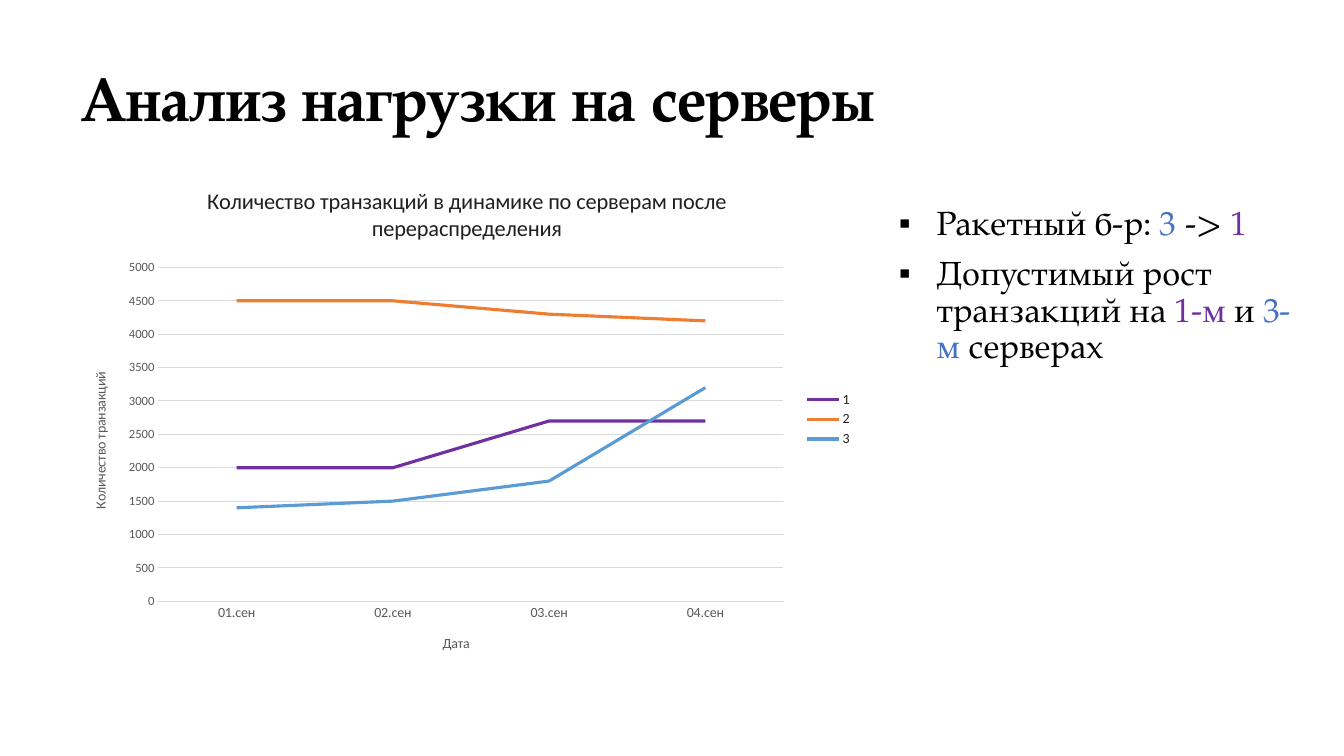
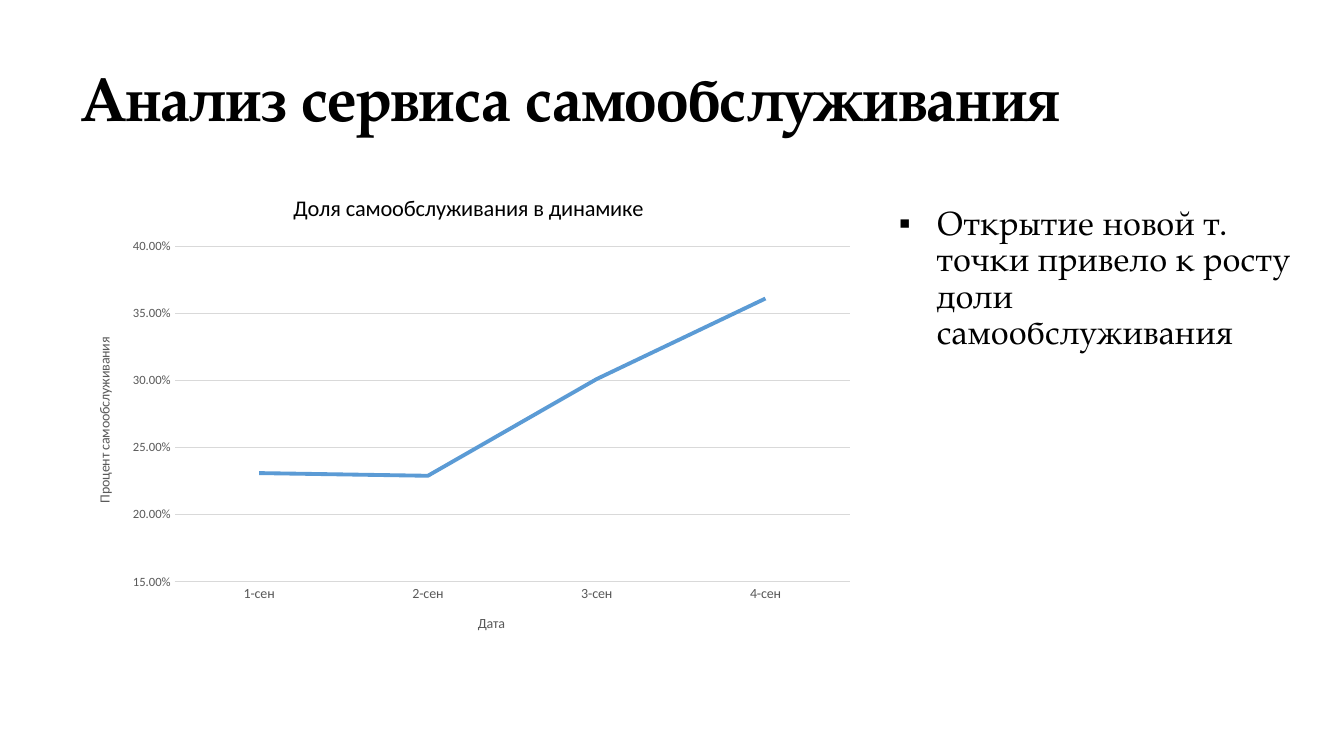
from lxml.etree import SubElement
from pptx import Presentation
from pptx.chart.data import CategoryChartData
from pptx.dml.color import RGBColor
from pptx.enum.chart import XL_CHART_TYPE as ChartType
from pptx.enum.chart import XL_LEGEND_POSITION as LegendPosition
from pptx.enum.chart import XL_TICK_MARK as TickMark
from pptx.enum.text import MSO_ANCHOR as Anchor
from pptx.enum.text import MSO_AUTO_SIZE as AutoSize
from pptx.enum.text import PP_ALIGN as Align
from pptx.oxml.ns import qn
from pptx.util import Cm, Pt

BLACK = RGBColor(0x00, 0x00, 0x00)
CHARCOAL = RGBColor(0x20, 0x20, 0x20)
GRAY = RGBColor(0x59, 0x59, 0x59)
SILVER = RGBColor(0xD9, 0xD9, 0xD9)
PURPLE = RGBColor(0x70, 0x30, 0xA0)
ORANGE = RGBColor(0xED, 0x7D, 0x31)
SKY = RGBColor(0x5B, 0x9B, 0xD5)
BLUE = RGBColor(0x44, 0x72, 0xC4)


class ReportDeck:
    text_font = "TeX Gyre Pagella"
    chart_font = "Calibri"
    left = 1.8

    def __init__(self):
        self.deck = Presentation()
        self.deck.slide_width = Cm(33.87)
        self.deck.slide_height = Cm(19.05)
        self.page = None

    def add_page(self, title):
        self.page = self.deck.slides.add_slide(self.deck.slide_layouts[1])
        box = self.page.shapes.title
        frame = self.place(box, self.left, 0.71, 29.21, 3.68, Anchor.MIDDLE)
        self.fill_para(frame.paragraphs[0], [(title, BLACK)], 44, True)

    def place(self, box, left, top, width, height, anchor):
        box.left, box.top = Cm(left), Cm(top)
        box.width, box.height = Cm(width), Cm(height)
        frame = box.text_frame
        frame.word_wrap = True
        frame.auto_size = AutoSize.NONE
        frame.vertical_anchor = anchor
        return frame

    def style_font(self, font, name, size, color, bold=False):
        font.name, font.size, font.bold = name, Pt(size), bold
        font.color.rgb = color

    def fill_para(self, para, spans, size, bold=False):
        para.alignment = Align.LEFT
        para.line_spacing = 0.9
        for text, color in spans:
            span = para.add_run()
            span.text = text
            self.style_font(span.font, self.text_font, size, color, bold)

    def add_bullets(self, items):
        box = self.page.placeholders[1]
        frame = self.place(box, 22.4, 5.08, 10.44, 12.09, Anchor.TOP)
        for index, spans in enumerate(items):
            para = frame.add_paragraph() if index else frame.paragraphs[0]
            para.space_before = Pt(10 if index else 0)
            properties = para._p.get_or_add_pPr()
            properties.set("marL", str(Cm(0.95)))
            properties.set("indent", str(-Cm(0.95)))
            self.fill_para(para, spans, 24)
            SubElement(properties, qn("a:buChar")).set("char", "▪")

    def add_line_chart(self, title, title_color, area, plot, categories, series,
                       line_width, value_title, scale, number_format):
        data = CategoryChartData(number_format=number_format)
        data.categories = categories
        for name, values, _ in series:
            data.add_series(name, values)
        chart = self.page.shapes.add_chart(
            ChartType.LINE, *(Cm(length) for length in area), data).chart
        self.style_font(chart.font, self.chart_font, 10, BLACK)
        chart.has_title = True
        self.set_title(chart.chart_title, title, 16, title_color)
        chart.chart_title.include_in_layout = False
        chart.plots[0].vary_by_categories = False
        for line, (_, _, color) in zip(chart.plots[0].series, series):
            line.smooth = False
            line.format.line.width = Pt(line_width)
            line.format.line.color.rgb = color
        self.style_axis(chart.category_axis, "Дата", 10)
        chart.category_axis.format.line.color.rgb = SILVER
        chart.category_axis.format.line.width = Pt(0.75)
        self.style_value_axis(chart.value_axis, value_title, scale, number_format)
        chart.has_legend = len(series) > 1
        if chart.has_legend:
            chart.legend.position = LegendPosition.RIGHT
            chart.legend.include_in_layout = False
            self.style_font(chart.legend.font, self.chart_font, 10, CHARCOAL)
        self.set_plot_area(chart, plot)

    def set_title(self, title, text, size, color):
        span = title.text_frame.paragraphs[0].add_run()
        span.text = text
        self.style_font(span.font, self.chart_font, size, color)

    def style_axis(self, axis, title, size):
        axis.has_title = True
        self.set_title(axis.axis_title, title, 10, GRAY)
        axis.major_tick_mark = axis.minor_tick_mark = TickMark.NONE
        self.style_font(axis.tick_labels.font, self.chart_font, size, GRAY)

    def style_value_axis(self, axis, title, scale, number_format):
        self.style_axis(axis, title, 9)
        axis.minimum_scale, axis.maximum_scale, axis.major_unit = scale
        axis.tick_labels.number_format = number_format
        axis.tick_labels.number_format_is_linked = False
        axis.format.line.fill.background()
        axis.has_major_gridlines = True
        grid = axis.major_gridlines.format.line
        grid.color.rgb = SILVER
        grid.width = Pt(0.75)

    def set_plot_area(self, chart, plot):
        plot_area = chart._chartSpace.chart.plotArea
        layout = plot_area.find(qn("c:layout"))
        if layout is None:
            layout = SubElement(plot_area, qn("c:layout"))
            plot_area.insert(0, layout)
        manual = SubElement(layout, qn("c:manualLayout"))
        settings = [("layoutTarget", "inner"), ("xMode", "edge"), ("yMode", "edge")]
        settings += zip("xywh", plot)
        for tag, value in settings:
            SubElement(manual, qn(f"c:{tag}")).set("val", str(value))


def main():
    report = ReportDeck()

    report.add_page("Анализ нагрузки на серверы")
    report.add_bullets([
        [("Ракетный б-р: ", BLACK), ("3", BLUE), (" -> ", BLACK), ("1", PURPLE)],
        [("Допустимый рост транзакций на ", BLACK), ("1-м", PURPLE),
         (" и ", BLACK), ("3-м", BLUE), (" серверах", BLACK)],
    ])
    report.add_line_chart(
        "Количество транзакций в динамике по серверам после перераспределения",
        CHARCOAL,
        area=(report.left, 4.19, 19.94, 12.75),
        plot=(0.11, 0.2, 0.79, 0.66),
        categories=["01.сен", "02.сен", "03.сен", "04.сен"],
        series=[("1", (2000, 2000, 2700, 2700), PURPLE),
                ("2", (4500, 4500, 4300, 4200), ORANGE),
                ("3", (1400, 1500, 1800, 3200), SKY)],
        line_width=2.25,
        value_title="Количество транзакций",
        scale=(0, 5000, 500),
        number_format="General")

    report.add_page("Анализ сервиса самообслуживания")
    report.add_bullets([
        [("Открытие новой т. точки привело к росту доли самообслуживания", BLACK)],
    ])
    report.add_line_chart(
        "Доля самообслуживания в динамике",
        BLACK,
        area=(report.left, 4.39, 20.02, 12.09),
        plot=(0.13, 0.15, 0.85, 0.7),
        categories=["1-сен", "2-сен", "3-сен", "4-сен"],
        series=[("Series 1", (0.231, 0.229, 0.301, 0.361), SKY)],
        line_width=2.75,
        value_title="Процент самообслуживания",
        scale=(0.15, 0.4, 0.05),
        number_format="0.00%")

    report.deck.save("out.pptx")


if __name__ == "__main__":
    main()
